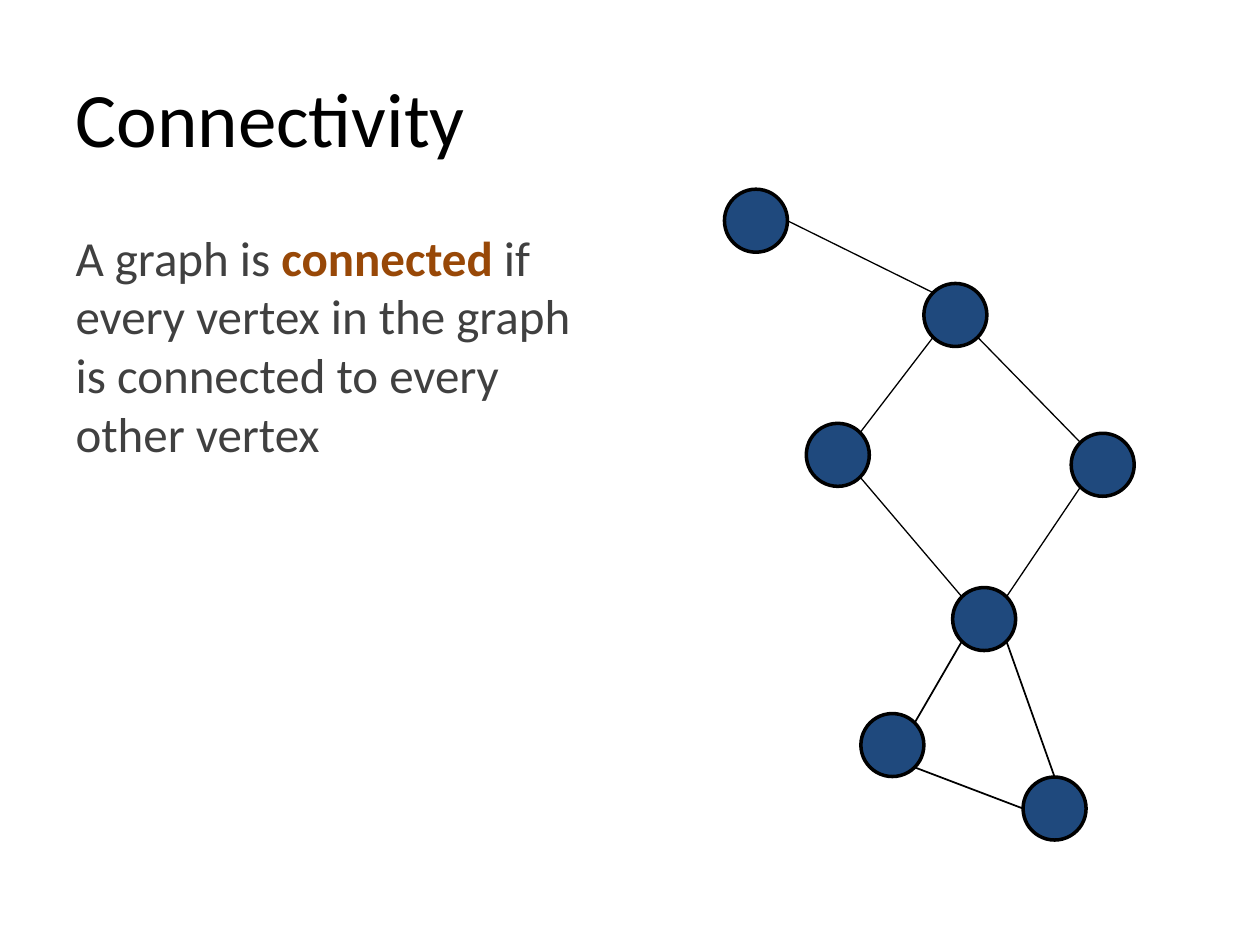
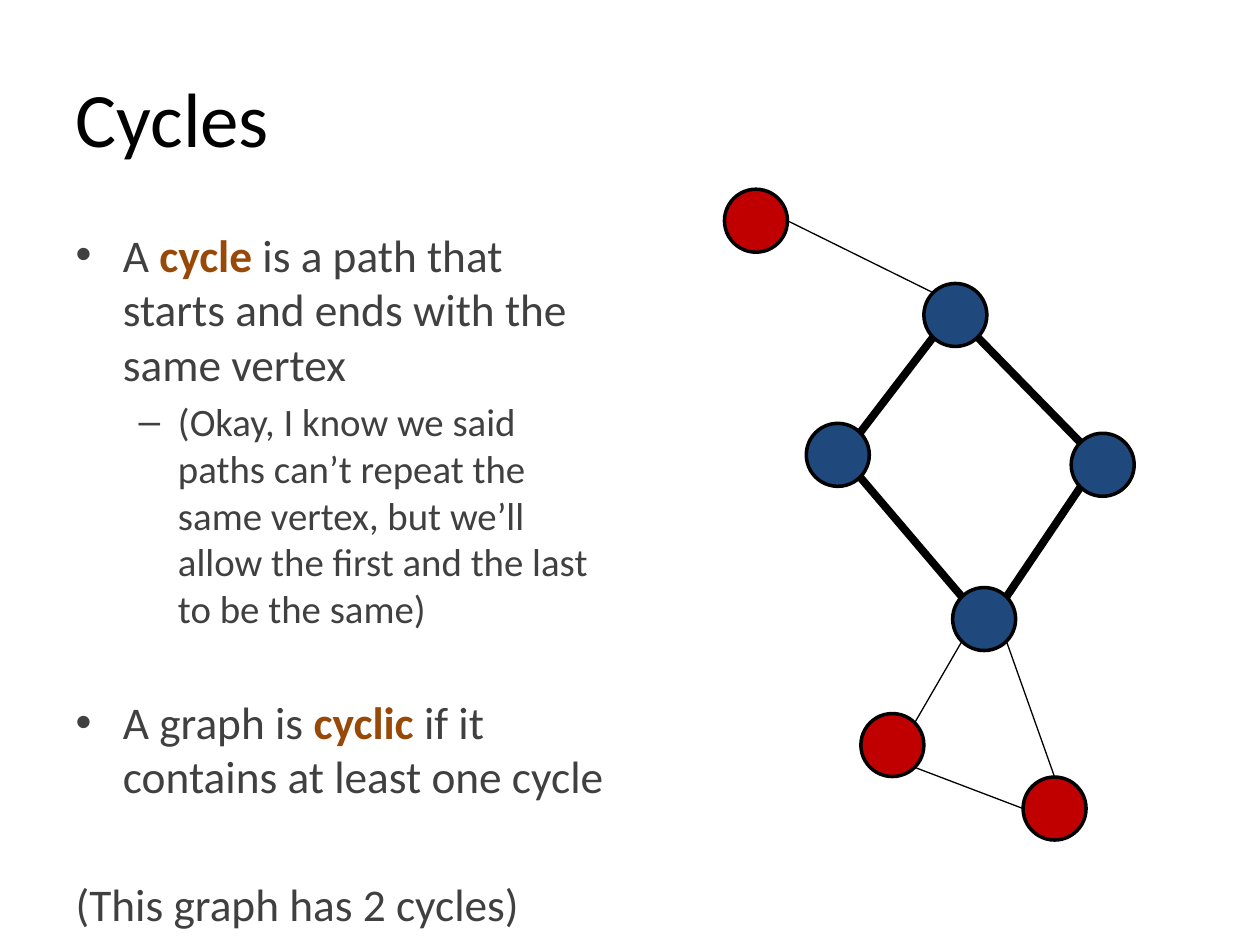
from math import cos, radians, sin

from lxml import etree
from pptx import Presentation
from pptx import util as u
from pptx.dml.color import RGBColor
from pptx.enum import shapes, text
from pptx.oxml.ns import qn

# Shared style
FONT = "Calibri"
BLACK, GREY, BROWN, BLUE, RED = "000000", "404040", "984807", "1F497D", "C00000"
TITLE_BOX = (1.27, 0.76, 22.86, 3.18)
BODY_LEFT, BODY_TOP, BODY_WIDTH = 1.27, 4.45, 11.23
DIAMETER = 1.27
THIN, MEDIUM, THICK = 0.75, 1, 4.5

# Graph: vertex centres in cm; edges join a compass point of each vertex
VERTICES = {
    "tail": (15.24, 4.45),
    "top": (19.26, 6.35),
    "left": (16.89, 9.17),
    "hub": (19.84, 12.48),
    "right": (22.23, 9.37),
    "low right": (21.26, 16.3),
    "low left": (17.99, 15.02),
}
COMPASS = {"E": 0, "SE": 45, "S": 90, "SW": 135, "W": 180, "NW": 225, "N": 270, "NE": 315}
EDGES = {
    "triangle": [("hub", "SE", "low right", "N"),
                 ("low right", "W", "low left", "SE"),
                 ("low left", "NE", "hub", "SW")],
    "tail": [("tail", "E", "top", "NW")],
    "diamond": [("left", "NE", "top", "SW"),
                ("top", "SE", "right", "NW"),
                ("right", "SW", "hub", "NE"),
                ("left", "SE", "hub", "NW")],
}

# Slide content: *starred* words are key terms
SLIDES = [
    dict(title="Connectivity", height=12.57, red=(),
         widths=dict(triangle=MEDIUM, tail=THIN, diamond=THIN),
         body=[dict(words="A graph is *connected *if every vertex in the graph "
                          "is connected to every other vertex",
                    size=28, bullet=False)]),
    dict(title="Cycles", height=14.4, red=("tail", "low right", "low left"),
         widths=dict(triangle=THIN, tail=THIN, diamond=THICK),
         body=[dict(words="A *cycle *is a path that starts and ends with the same vertex",
                    size=25.9),
               dict(words="(Okay, I know we said paths can’t repeat the same vertex, but "
                          "we’ll allow the first and the last to be the same)",
                    size=22.2, level=1),
               dict(words="A graph is *cyclic *if it contains at least one cycle",
                    size=25.9, before=36),
               dict(words="(This graph has 2 cycles)", size=25.9, before=42,
                    bullet=False)]),
]


def rgb(value):
    return RGBColor.from_string(value)


def place(sp, left, top, width, height):
    sp.left, sp.top, sp.width, sp.height = map(u.Cm, (left, top, width, height))


def write(p, words, size, color=GREY, level=0, before=None, bullet=True):
    """Fill a paragraph, setting starred words bold and brown."""
    p.level, p.alignment = level, text.PP_ALIGN.LEFT
    if before is not None:
        p.space_before = u.Pt(before)
    if not bullet:
        pPr = p._p.get_or_add_pPr()
        pPr.set("marL", "0")
        pPr.set("indent", "0")
        etree.SubElement(pPr, qn("a:buNone"))
    for i, part in enumerate(words.split("*")):
        key = i % 2 == 1
        r = p.add_run()
        r.text = part
        r.font.name, r.font.size, r.font.bold = FONT, u.Pt(size), key
        r.font.color.rgb = rgb(BROWN if key else color)


def add_vertex(s, name, fill):
    x, y = VERTICES[name]
    sp = s.shapes.add_shape(shapes.MSO_SHAPE.OVAL, 0, 0, 0, 0)
    place(sp, x - DIAMETER / 2, y - DIAMETER / 2, DIAMETER, DIAMETER)
    sp.shadow.inherit = False
    sp.fill.solid()
    sp.fill.fore_color.rgb = rgb(fill)
    sp.line.color.rgb, sp.line.width = rgb(BLACK), u.Pt(2)


def rim(name, direction):
    x, y = VERTICES[name]
    a = radians(COMPASS[direction])
    return u.Cm(x + DIAMETER / 2 * cos(a)), u.Cm(y + DIAMETER / 2 * sin(a))


def add_edge(s, start, start_side, end, end_side, width):
    line = s.shapes.add_connector(shapes.MSO_CONNECTOR.STRAIGHT,
                                  *rim(start, start_side), *rim(end, end_side))
    line.line.color.rgb, line.line.width = rgb(BLACK), u.Pt(width)
    etree.SubElement(line._element.spPr, qn("a:effectLst"))


def add_slide(prs, title, height, red, widths, body):
    s = prs.slides.add_slide(prs.slide_layouts[1])

    # Title
    place(s.shapes.title, *TITLE_BOX)
    write(s.shapes.title.text_frame.paragraphs[0], title, 44, BLACK)

    # Body text
    sp = s.placeholders[1]
    place(sp, BODY_LEFT, BODY_TOP, BODY_WIDTH, height)
    tf = sp.text_frame
    tf.auto_size = text.MSO_AUTO_SIZE.NONE
    for i, item in enumerate(body):
        write(tf.add_paragraph() if i else tf.paragraphs[0], **item)

    # Graph
    for name in VERTICES:
        add_vertex(s, name, RED if name in red else BLUE)
    for group, edges in EDGES.items():
        for edge in edges:
            add_edge(s, *edge, width=widths[group])


def main():
    prs = Presentation()
    prs.slide_width, prs.slide_height = u.Cm(25.4), u.Cm(19.05)
    for content in SLIDES:
        add_slide(prs, **content)
    prs.save("out.pptx")


if __name__ == "__main__":
    main()
